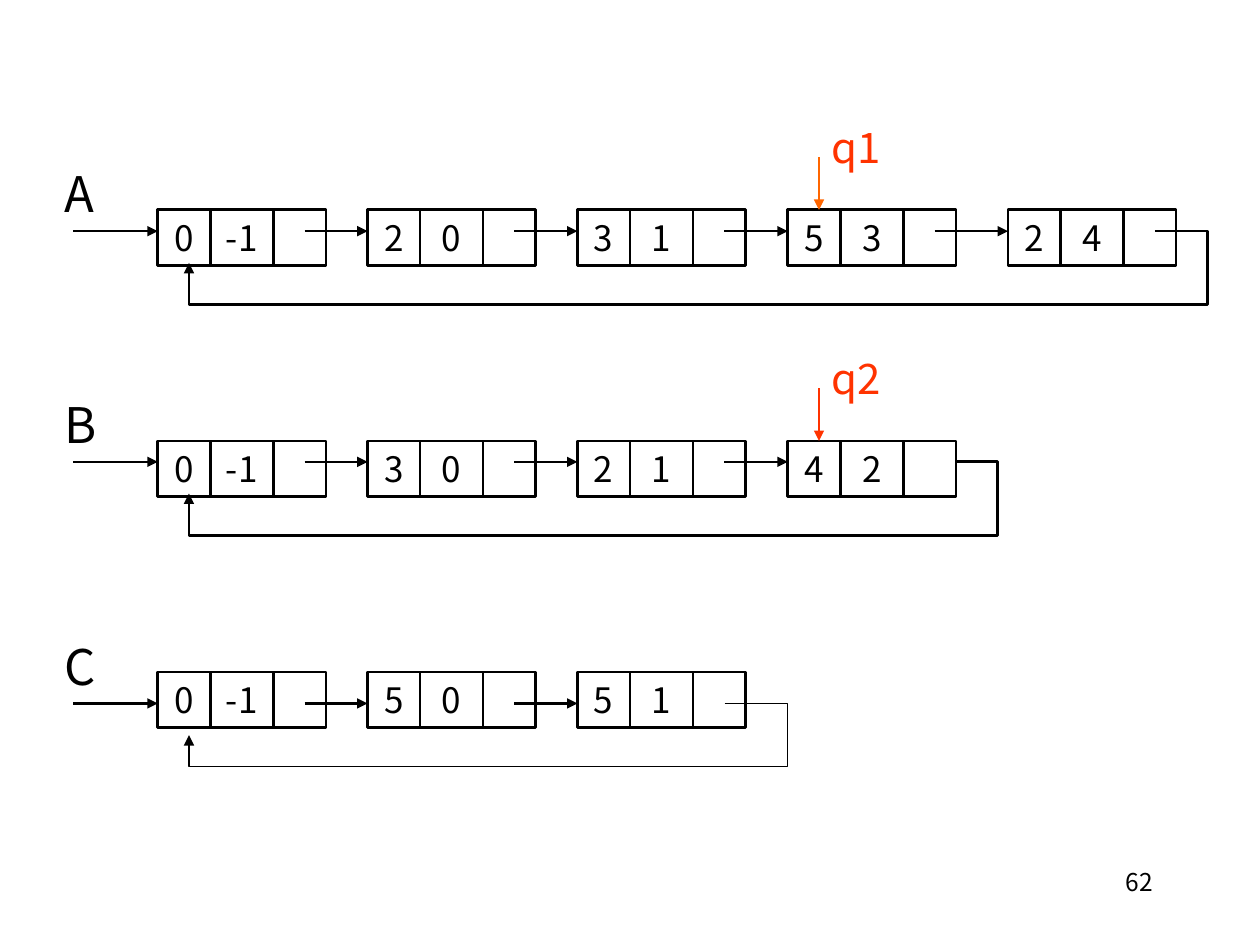
import pptx
import pptx.dml.color
import pptx.enum.shapes
import pptx.enum.text
import pptx.oxml
import pptx.oxml.ns
import pptx.util
from dataclasses import dataclass
from typing import Optional

Cm = pptx.util.Cm
Pt = pptx.util.Pt
RGB = pptx.dml.color.RGBColor
Align = pptx.enum.text.PP_ALIGN

BLACK = RGB(0x00, 0x00, 0x00)
RED = RGB(0xFF, 0x33, 0x00)
ORANGE = RGB(0xFF, 0x66, 0x00)
FONT = "Noto Sans CJK JP"

NODE_X = (3.18, 7.41, 11.64, 15.88, 20.32)
CELL_W = (1.06, 1.27, 1.06)
CELL_H = 1.12
LINK_IN = 2.96
LOOP_X = 3.81
MARK_X = 16.51


@dataclass
class Chain:
    name: str
    top: float
    link: float
    nodes: tuple[tuple[str, str], ...]
    start: float
    right: float
    drop: float = 1.48
    weight: float = 1.5
    mark: str = ""
    tint: Optional[RGB] = None


CHAINS = (
    Chain("A", 4.23, 4.66,
          (("0", "-1"), ("2", "0"), ("3", "1"), ("5", "3"), ("2", "4")),
          23.28, 24.34, mark="q1", tint=ORANGE),
    Chain("B", 8.89, 9.31,
          (("0", "-1"), ("3", "0"), ("2", "1"), ("4", "2")),
          19.28, 20.11, mark="q2", tint=RED),
    Chain("C", 13.55, 14.18,
          (("0", "-1"), ("5", "0"), ("5", "1")),
          14.61, 15.88, drop=1.27, weight=0.75),
)


def write(shape, text: str, size: float, color: RGB, align) -> None:
    frame = shape.text_frame
    frame.word_wrap = True
    frame.vertical_anchor = pptx.enum.text.MSO_ANCHOR.TOP
    frame.text = text
    para = frame.paragraphs[0]
    para.alignment = align
    font = para.runs[0].font
    font.name = FONT
    font.size = Pt(size)
    font.color.rgb = color


def label(slide, text: str, x: float, y: float, w: float, h: float,
          size: float, color: RGB = BLACK, align=Align.LEFT) -> None:
    box = slide.shapes.add_textbox(Cm(x), Cm(y), Cm(w), Cm(h))
    write(box, text, size, color, align)


def cell(slide, text: str, x: float, y: float, w: float) -> None:
    box = slide.shapes.add_shape(
        pptx.enum.shapes.MSO_SHAPE.RECTANGLE, Cm(x), Cm(y), Cm(w), Cm(CELL_H))
    box.shadow.inherit = False
    box.fill.background()
    box.line.color.rgb = BLACK
    box.line.width = Pt(1.5)
    if text:
        write(box, text, 20, BLACK, Align.CENTER)


def tip(line, color: RGB, weight: float) -> None:
    line.color.rgb = color
    line.width = Pt(weight)
    head = pptx.oxml.parse_xml(
        f'<a:tailEnd {pptx.oxml.ns.nsdecls("a")} type="triangle"/>')
    line._get_or_add_ln().append(head)


def arrow(slide, x: float, y: float, to_x: float, to_y: float,
          color: RGB = BLACK, weight: float = 1.5) -> None:
    link = slide.shapes.add_connector(
        pptx.enum.shapes.MSO_CONNECTOR.STRAIGHT,
        Cm(x), Cm(y), Cm(to_x), Cm(to_y))
    tip(link.line, color, weight)
    link._element.spPr.append(pptx.oxml.parse_xml(
        f'<a:effectLst {pptx.oxml.ns.nsdecls("a")}/>'))


def loop(slide, chain: Chain) -> None:
    base = chain.link + chain.drop
    turns = ((chain.right, chain.link), (chain.right, base),
             (LOOP_X, base), (LOOP_X, chain.link + 0.64))
    pen = slide.shapes.build_freeform(Cm(chain.start), Cm(chain.link))
    pen.add_line_segments([(Cm(x), Cm(y)) for x, y in turns], close=False)
    path = pen.convert_to_shape()
    path.shadow.inherit = False
    path.fill.background()
    tip(path.line, BLACK, chain.weight)


def draw(slide, chain: Chain) -> None:
    tail = 1.48
    for left, pair in zip(NODE_X, chain.nodes):
        x = left
        for text, width in zip((*pair, ""), CELL_W):
            cell(slide, text, x, chain.top, width)
            x += width
        arrow(slide, tail, chain.link, left, chain.link)
        tail = left + LINK_IN
    loop(slide, chain)
    label(slide, chain.name, 1.06, chain.link - 1.48, 2.12, 1.45, 28)
    if chain.mark:
        arrow(slide, MARK_X, chain.top - 1.06, MARK_X, chain.top,
              chain.tint, 0.75)
        label(slide, chain.mark, MARK_X, chain.top - 1.9, 2.12, 1.27, 24, RED)


def main() -> None:
    deck = pptx.Presentation()
    deck.slide_width = Cm(25.4)
    deck.slide_height = Cm(19.05)
    slide = deck.slides.add_slide(deck.slide_layouts[6])
    for chain in CHAINS:
        draw(slide, chain)
    label(slide, "62", 18.2, 17.36, 5.29, 1.27, 14, align=Align.RIGHT)
    deck.save("out.pptx")


if __name__ == "__main__":
    main()
